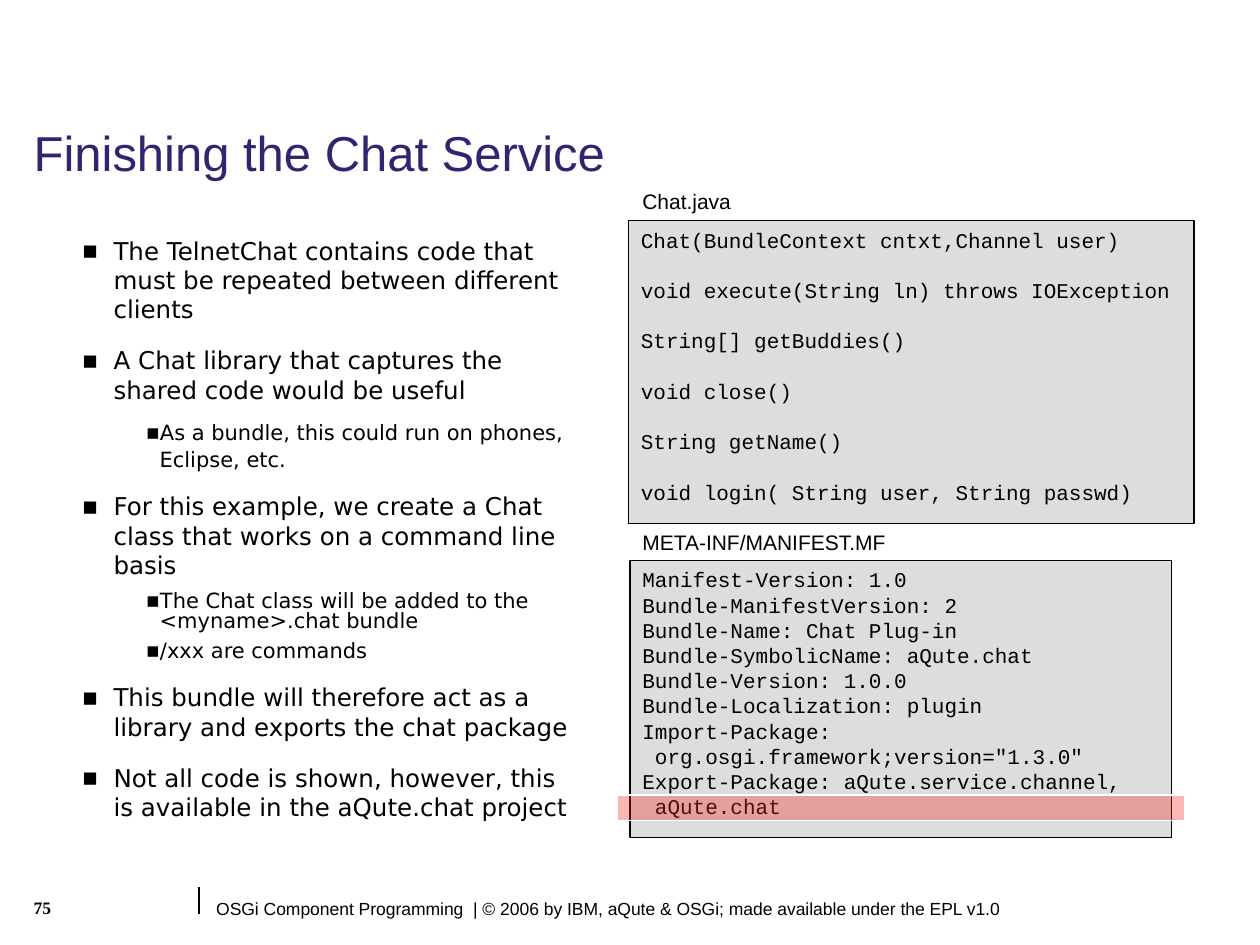
from lxml.etree import SubElement
from pptx import Presentation
from pptx.dml.color import RGBColor
from pptx.enum.shapes import MSO_CONNECTOR, MSO_SHAPE
from pptx.enum.text import MSO_ANCHOR, PP_ALIGN
from pptx.oxml.ns import qn
from pptx.util import Cm, Pt

# Content
TITLE = "Finishing the Chat Service"
PAGE = "75"
FOOTER = ("OSGi Component Programming  | © 2006 by IBM, aQute & OSGi; "
          "made available under the EPL v1.0")

# Level, line spacing, text
BULLETS = [
    (0, 1.0, "The TelnetChat contains code that must be repeated between different clients"),
    (0, 1.0, "A Chat library that captures the shared code would be useful"),
    (1, 1.1, "As a bundle, this could run on phones, Eclipse, etc."),
    (0, 1.0, "For this example, we create a Chat class that works on a command line basis"),
    (1, 0.8, "The Chat class will be added to the <myname>.chat bundle"),
    (1, 0.8, "/xxx are commands"),
    (0, 1.0, "This bundle will therefore act as a library and exports the chat package"),
    (0, 1.0, "Not all code is shown, however, this is available in the aQute.chat project"),
]
CHAT_API = [
    "Chat(BundleContext cntxt,Channel user)",
    "void execute(String ln) throws IOException",
    "String[] getBuddies()",
    "void close()",
    "String getName()",
    "void login( String user, String passwd)",
]
MANIFEST = [
    "Manifest-Version: 1.0",
    "Bundle-ManifestVersion: 2",
    "Bundle-Name: Chat Plug-in",
    "Bundle-SymbolicName: aQute.chat",
    "Bundle-Version: 1.0.0",
    "Bundle-Localization: plugin",
    "Import-Package:",
    ' org.osgi.framework;version="1.3.0"',
    "Export-Package: aQute.service.channel,",
    " aQute.chat",
]
# File name, label box, code box (left, top, width, height in cm), lines, gap in pt
LISTINGS = [
    ("Chat.java", (12.7, 3.68, 2.29, 0.76), (12.67, 4.45, 11.4, 6.1), CHAT_API, 14.4),
    ("META-INF/MANIFEST.MF", (12.7, 10.54, 5.49, 0.76), (12.7, 11.3, 10.92, 5.59), MANIFEST, 0),
]
# Size, left margin, hanging indent (cm), space before, space after (pt)
LEVELS = [(14, 0.64, 0.64, 8.8, 3.5), (12, 1.57, 0.28, 3.7, 2.2)]
COLORS = {"text": "000000", "title": "2F2672", "code": "DDDDDD",
          "mark": "EE2520", "mark_line": "FFFFFF"}


def rgb(name):
    return RGBColor.from_string(COLORS[name])


def set_frame(tf, wrap=True, anchor=MSO_ANCHOR.TOP):
    tf.word_wrap = wrap
    tf.vertical_anchor = anchor
    tf.margin_left = tf.margin_right = Cm(0.25)
    tf.margin_top = tf.margin_bottom = Cm(0.13)


def write(p, text, size, font, color="text", bold=False):
    p.text = text
    p.alignment = PP_ALIGN.LEFT
    for r in p.runs:
        r.font.size, r.font.name, r.font.bold = Pt(size), font, bold
        r.font.color.rgb = rgb(color)


def paragraphs(tf, count):
    return [tf.paragraphs[0]] + [tf.add_paragraph() for _ in range(count - 1)]


def add_label(s, box, text, size, font="Arial", color="text", bold=False, **frame):
    tf = s.shapes.add_textbox(*map(Cm, box)).text_frame
    set_frame(tf, **frame)
    write(tf.paragraphs[0], text, size, font, color, bold)
    return tf


def add_rect(s, box, fill, line):
    sp = s.shapes.add_shape(MSO_SHAPE.RECTANGLE, *map(Cm, box))
    sp.shadow.inherit = False
    sp.fill.solid()
    sp.fill.fore_color.rgb = rgb(fill)
    sp.line.color.rgb = rgb(line)
    sp.line.width = Pt(0.75)
    return sp


def add_bullet(p, margin, indent):
    pPr = p._p.get_or_add_pPr()
    pPr.set("marL", str(Cm(margin)))
    pPr.set("indent", str(-Cm(indent)))
    clr = SubElement(pPr, qn("a:buClr"))
    SubElement(clr, qn("a:srgbClr"), val=COLORS["text"])
    SubElement(pPr, qn("a:buFont"), typeface="DejaVu Sans")
    SubElement(pPr, qn("a:buChar"), char="▪")


prs = Presentation()
prs.slide_width, prs.slide_height = Cm(25.4), Cm(19.05)
s = prs.slides.add_slide(prs.slide_layouts[6])

# Footer with divider and page number
divider = s.shapes.add_connector(MSO_CONNECTOR.STRAIGHT, Cm(4.01), Cm(17.88), Cm(4.01), Cm(18.42))
divider.line.color.rgb = rgb("text")
divider.line.width = Pt(0.75)
SubElement(divider._element.spPr, qn("a:effectLst"))
add_label(s, (4.11, 17.98, 21.29, 0.69), FOOTER, 10)
add_label(s, (0.43, 17.96, 2.79, 0.89), PAGE, 10, "Times New Roman", bold=True)

# Title
tf = add_label(s, (0.43, 2.41, 22.91, 1.4), TITLE, 28, color="title", anchor=MSO_ANCHOR.BOTTOM)
tf.paragraphs[0].line_spacing = 0.9

# Bullet list
tf = s.shapes.add_textbox(Cm(1.4), Cm(4.62), Cm(10.54), Cm(12.52)).text_frame
set_frame(tf)
for i, (p, (level, spacing, text)) in enumerate(zip(paragraphs(tf, len(BULLETS)), BULLETS)):
    size, margin, indent, before, after = LEVELS[level]
    add_bullet(p, margin, indent)
    write(p, text, size, "DejaVu Sans")
    p.level = level
    p.line_spacing = spacing
    p.space_before = Pt(before if i else 0)
    p.space_after = Pt(after)

# Code listings with file names
for name, label_box, code_box, lines, gap in LISTINGS:
    add_label(s, label_box, name, 12, wrap=False)
    tf = add_rect(s, code_box, "code", "text").text_frame
    set_frame(tf)
    for i, (p, line) in enumerate(zip(paragraphs(tf, len(lines)), lines)):
        write(p, line, 12, "Courier New")
        p.space_before = Pt(gap if i else 0)

# Translucent marker over the exported package
marker = add_rect(s, (12.45, 16.03, 11.43, 0.51), "mark", "mark_line")
color = marker._element.spPr.find(qn("a:solidFill")).find(qn("a:srgbClr"))
SubElement(color, qn("a:alpha"), val="33000")

prs.save("out.pptx")
